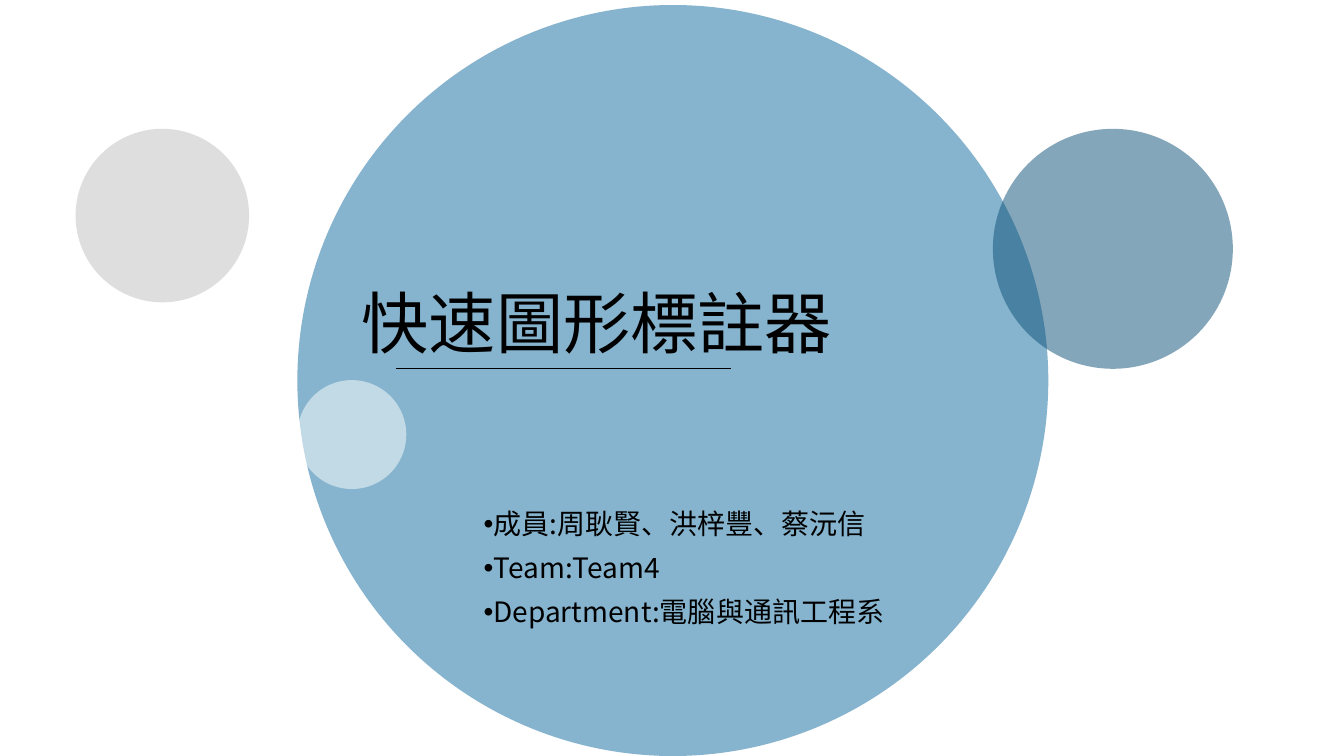
from pptx import Presentation
from pptx.dml.color import RGBColor
from pptx.enum.shapes import MSO_CONNECTOR as Conn, MSO_SHAPE as Kind
from pptx.enum.text import MSO_AUTO_SIZE as Fit
from pptx.oxml.ns import qn
from pptx.util import Pt
from lxml.etree import SubElement as Sub

BLACK = RGBColor(0x00, 0x00, 0x00)
WHITE = RGBColor(0xFF, 0xFF, 0xFF)
SKY = RGBColor(0x79, 0xAC, 0xC9)
GREY = RGBColor(0xBF, 0xBF, 0xBF)
NAVY = RGBColor(0x0B, 0x4F, 0x76)

TITLE = {"size": Pt(48), "name": "Calibri"}
BODY = {"size": Pt(20), "name": "Noto Sans CJK SC"}
LIST = {"line_spacing": 0.9, "space_before": Pt(10)}


def apply(obj, style):
    for key, val in style.items():
        setattr(obj, key, val)


class Deck:
    def __init__(self, wide, high):
        self.show = Presentation()
        apply(self.show, {"slide_width": Pt(wide), "slide_height": Pt(high)})
        self.slide = self.show.slides.add_slide(self.show.slide_layouts[6])
        self.shapes = self.slide.shapes
        self.ink = BLACK

    def disc(self, left, top, size, color, alpha):
        disc = self.shapes.add_shape(Kind.OVAL, Pt(left), Pt(top), Pt(size), Pt(size))
        disc.shadow.inherit = False
        disc.line.fill.background()
        disc.fill.solid()
        disc.fill.fore_color.rgb = color
        tone = disc.fill._xPr.find(qn("a:solidFill"))[0]
        Sub(tone, qn("a:alpha"), val=str(alpha * 1000))

    def rule(self, left, right, top, width):
        rule = self.shapes.add_connector(Conn.STRAIGHT, Pt(left), Pt(top), Pt(right), Pt(top))
        rule.line.color.rgb = self.ink
        rule.line.width = Pt(width)
        Sub(rule._element.spPr, qn("a:effectLst"))

    def text(self, box, lines, font, frame, para={}, bullet=None):
        body = self.shapes.add_textbox(*map(Pt, box)).text_frame
        apply(body, frame)
        body.text = "\n".join(lines)
        for item in body.paragraphs:
            apply(item, para)
            run = item.runs[0]
            apply(run.font, font)
            run.font.color.rgb = self.ink
            Sub(run._r.get_or_add_rPr(), qn("a:ea"), typeface=BODY["name"])
            if bullet:
                props = item._p.get_or_add_pPr()
                props.set("marL", "0")
                props.set("indent", str(-Pt(18)))
                Sub(props, qn("a:buFont"), typeface="Arial")
                Sub(props, qn("a:buChar"), char=bullet)


deck = Deck(960, 540)
deck.disc(212.4, 3.6, 536.4, SKY, 90)
deck.rule(283, 522, 262.8, 0.5)
deck.text((251.3, 197.3, 353.5, 65.4), ["快速圖形標註器"], TITLE,
          {"word_wrap": False, "auto_size": Fit.SHAPE_TO_FIT_TEXT})
for spot in [(54, 92, 124, GREY, 50), (212.4, 271.5, 77.8, WHITE, 50),
             (709.2, 92, 171.4, NAVY, 50)]:
    deck.disc(*spot)
deck.text((338.4, 360.7, 568.8, 138.2),
          ["成員:周耿賢、洪梓豐、蔡沅信", "Team:Team4", "Department:電腦與通訊工程系"],
          BODY, {"word_wrap": True}, LIST, "•")
deck.show.save("out.pptx")
